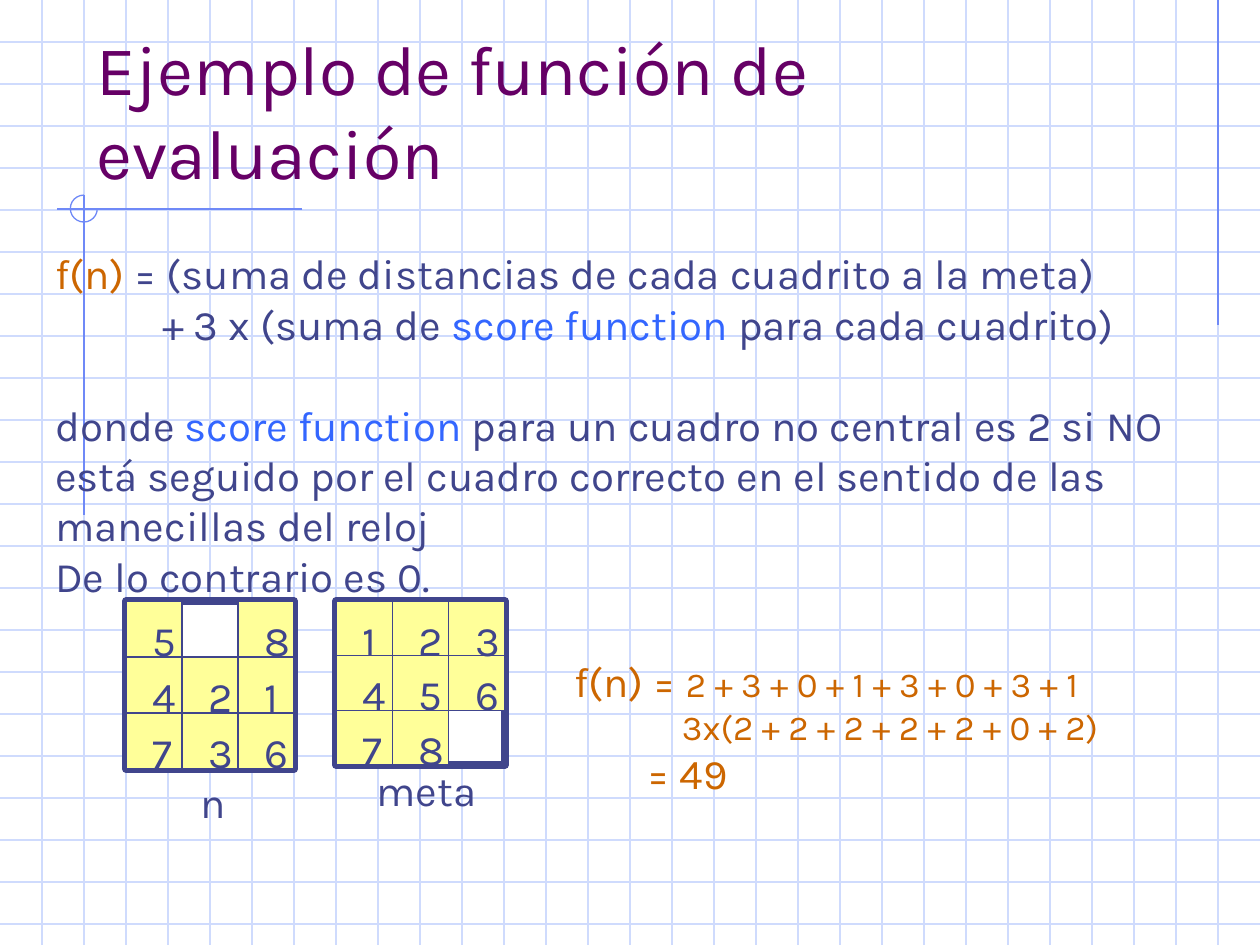
"""Build a slide on an evaluation function for the eight-tile puzzle."""
from lxml import etree
from pptx import Presentation
from pptx import util as u
from pptx.dml.color import RGBColor
from pptx.enum import shapes, text
from pptx.oxml.ns import qn

WHITE = RGBColor(0xFF, 0xFF, 0xFF)
GRID = RGBColor(0xCF, 0xDB, 0xFD)
RULE = RGBColor(0x6F, 0x89, 0xF7)
PLUM = RGBColor(0x66, 0x00, 0x66)
NAVY = RGBColor(0x40, 0x45, 0x8C)
BLUE = RGBColor(0x33, 0x66, 0xFF)
ORANGE = RGBColor(0xCC, 0x66, 0x00)
YELLOW = RGBColor(0xFF, 0xFF, 0x99)
FONT = "Karla"
WIDTH, HEIGHT, PITCH = 720, 540, 24

TITLE = "Ejemplo de función de evaluación"
DEFINITION = [
    (0, 0, [("f(n)", 24, ORANGE),
            (" = (suma de distancias de cada cuadrito a la meta)", 24, NAVY)]),
    (61, 0, [("+ 3 x (suma de ", 24, NAVY), ("score function", 24, BLUE),
             (" para cada cuadrito)", 24, NAVY)]),
    (0, 28.8, [("donde ", 24, NAVY), ("score function", 24, BLUE),
               (" para un cuadro no central es 2 si NO", 24, NAVY)]),
    (0, 0, [("está seguido por el cuadro correcto en el sentido de las", 24, NAVY)]),
    (0, 0, [("manecillas del reloj", 24, NAVY)]),
    (0, 0, [("De lo contrario es 0.", 24, NAVY)]),
]
RESULT = [
    (0, 0, [("f(n) = ", 24, ORANGE), ("2 + 3 + 0 + 1 + 3 + 0 + 3 + 1", 20, ORANGE)]),
    (61.5, 0, [("3x(2 + 2 + 2 + 2 + 2 + 0 + 2)", 20, ORANGE)]),
    (42, 0, [("= 49", 24, ORANGE)]),
]
PARAGRAPH_BOXES = [
    ((24.5, 138.2, 677.5, 208.8), DEFINITION),
    ((321.1, 370.8, 327.6, 89.3), RESULT),
]
BOARDS = [
    ((192, 343.5), (32.2, 31.2), ["123", "456", "78 "]),
    ((72, 343.5), (32, 32), ["5 8", "421", "736"]),
]
LABELS = [("n", (107.3, 440, 28.8, 36)), ("meta", (208.1, 433.4, 72, 36))]
RULES = [(696, 0, 696, 186), (172.8, 119.5, 32.4, 119.5), (48, 111.6, 48, 294.5)]


def points(values):
    return [u.Pt(value) for value in values]


def apply(target, values):
    for name, value in values.items():
        setattr(target, name, value)


def add_line(slide, ends, color):
    line = slide.shapes.add_connector(shapes.MSO_CONNECTOR.STRAIGHT, *points(ends))
    line.line.color.rgb = color
    line.line.width = u.Pt(0.75)
    etree.SubElement(line._element.spPr, qn("a:effectLst"))


def add_shape(slide, kind, box, fill, color, weight):
    shape = slide.shapes.add_shape(kind, *points(box))
    shape.shadow.inherit = False
    if fill is None:
        shape.fill.background()
    else:
        shape.fill.solid()
        shape.fill.fore_color.rgb = fill
    shape.line.color.rgb = color
    shape.line.width = u.Pt(weight)
    return shape


def write(paragraph, runs):
    paragraph.alignment = text.PP_ALIGN.LEFT
    for words, size, color in runs:
        run = paragraph.add_run()
        run.text = words
        apply(run.font, {"name": FONT, "size": u.Pt(size)})
        run.font.color.rgb = color


def add_text(slide, box, paragraphs, wrap):
    frame = slide.shapes.add_textbox(*points(box)).text_frame
    frame.word_wrap = wrap
    for index, (indent, before, runs) in enumerate(paragraphs):
        paragraph = frame.add_paragraph() if index else frame.paragraphs[0]
        if indent:
            paragraph._p.get_or_add_pPr().set("marL", str(u.Pt(indent)))
        if before:
            paragraph.space_before = u.Pt(before)
        write(paragraph, runs)


def add_label(slide, words, box):
    add_text(slide, box, [(0, 0, [(words, 24, NAVY)])], False)


def add_board(slide, origin, cell, rows):
    (left, top), (width, height) = origin, cell
    rectangle = shapes.MSO_SHAPE.RECTANGLE
    add_shape(slide, rectangle, (left, top, 3 * width, 3 * height), WHITE, NAVY, 4.5)
    tiles = [(digit, left + column * width, top + row * height)
             for row, digits in enumerate(rows)
             for column, digit in enumerate(digits) if digit != " "]
    for digit, x, y in tiles:
        add_shape(slide, rectangle, (x, y, width, height), YELLOW, NAVY, 0.75)
    for digit, x, y in tiles:
        add_label(slide, digit, (x + 8, y + 4, 28, 36))


def add_background(slide):
    for y in range(PITCH, HEIGHT, PITCH):
        add_line(slide, (0, y, WIDTH, y), GRID)
    for x in range(PITCH, WIDTH, PITCH):
        add_line(slide, (x, 0, x, HEIGHT), GRID)
    for ends in RULES:
        add_line(slide, ends, RULE)
    arc = add_shape(slide, shapes.MSO_SHAPE.ARC, (40.2, 111.5, 15.4, 15.4),
                    None, RULE, 0.75)
    arc.adjustments[0], arc.adjustments[1] = 0, 162


def place_title(slide):
    title = slide.shapes.title
    left, top, width, height = points((48, 24, 612, 90))
    apply(title, {"left": left, "top": top, "width": width, "height": height})
    apply(title.text_frame, {"word_wrap": True, "auto_size": text.MSO_AUTO_SIZE.NONE,
                             "vertical_anchor": text.MSO_ANCHOR.BOTTOM})
    write(title.text_frame.paragraphs[0], [(TITLE, 40, PLUM)])
    slide.shapes._spTree.append(title._element)


def main():
    presentation = Presentation()
    apply(presentation, {"slide_width": u.Pt(WIDTH), "slide_height": u.Pt(HEIGHT)})
    slide = presentation.slides.add_slide(presentation.slide_layouts[5])
    add_background(slide)
    place_title(slide)
    for box, paragraphs in PARAGRAPH_BOXES:
        add_text(slide, box, paragraphs, True)
    for origin, cell, rows in BOARDS:
        add_board(slide, origin, cell, rows)
    for words, box in LABELS:
        add_label(slide, words, box)
    presentation.save("out.pptx")


if __name__ == "__main__":
    main()
